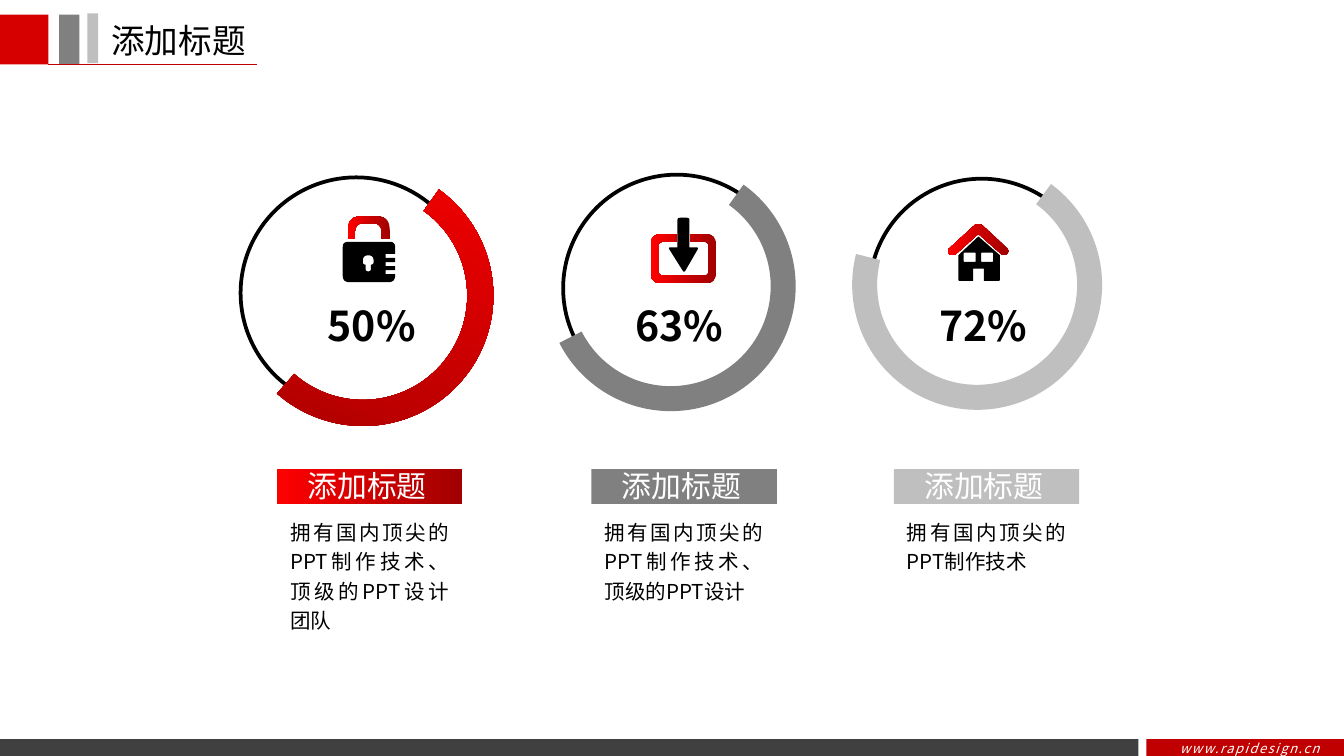
from lxml import etree
from pptx import Presentation
from pptx.dml.color import RGBColor
from pptx.enum import shapes, text
from pptx.oxml import ns
from pptx.util import Inches, Pt

FONT = "Noto Sans CJK SC"
BLACK = RGBColor(0, 0, 0)
WHITE = RGBColor(255, 255, 255)
RED = RGBColor(0xD6, 0, 0)
DEEP = RGBColor(0xC0, 0, 0)
DARK = RGBColor(0x40, 0x40, 0x40)
GRAY = RGBColor(0x80, 0x80, 0x80)
PALE = RGBColor(0xBF, 0xBF, 0xBF)
GLOW = [(0, "A20000"), (2, "A20000"), (33, "C00000"), (100, "FF0000")]
KIND = shapes.MSO_SHAPE
ALIGN = text.PP_ALIGN

# Icon outlines in hundredths of an inch: (x, y, corner radius)
LOCK = [
    (BLACK, [[(0, 19, 4), (39, 19, 4), (39, 28), (32, 28), (32, 31), (39, 31),
              (39, 34), (32, 34), (32, 37), (39, 37), (39, 40), (32, 40),
              (32, 43), (39, 43), (39, 49, 5), (0, 49, 5)],
             [(15, 29, 4), (23, 29, 4), (23, 36, 2), (21, 36), (21, 41, 2),
              (17, 41, 2), (17, 36), (15, 36, 2)]]),
    (GLOW, [[(4, 0, 10), (35, 0, 10), (35, 17), (29, 17), (29, 5, 7),
             (9, 5, 7), (9, 17), (4, 17)]]),
]
TRAY = [
    (GLOW, [[(30, 12), (49, 12, 9), (49, 49, 9), (0, 49, 9), (0, 12, 9),
             (19, 12), (19, 18), (6, 18, 3), (6, 43, 3), (43, 43, 3),
             (43, 18, 3), (30, 18)]]),
    (BLACK, [[(20, 0, 2), (29, 0, 2), (29, 22), (36, 22, 2), (25, 41, 2),
              (13, 22, 2), (20, 22)]]),
]
HOUSE = [
    (BLACK, [[(22, 9), (38, 23), (38, 42, 1), (26, 42), (26, 33), (18, 33),
              (18, 42), (7, 42, 1), (7, 23)],
             [(11, 21, 1), (20, 21, 1), (20, 28, 1), (11, 28, 1)],
             [(24, 21, 1), (33, 21, 1), (33, 28, 1), (24, 28, 1)]]),
    (GLOW, [[(22, -2, 4), (46, 20, 3), (41, 24, 3), (22, 7), (3, 24, 3),
             (-2, 20, 3)]]),
]

# Left edge, colour, percent, description, thin ring, arc, icon
COLS = [
    dict(x=2.06, fill=GLOW, rate="50%", rate_x=2.33,
         note="拥有国内顶尖的PPT制作技术、顶级的PPT设计团队", note_h=0.97,
         ring=(1.79, 1.32, 1.72), arc=(1.73, 1.23, 1.94),
         adj=(116.84, 12.22, 0.1), icon=LOCK, spot=(2.55, 1.61)),
    dict(x=4.4, fill=GRAY, rate="63%", rate_x=4.62,
         note="拥有国内顶尖的PPT制作技术、顶级的PPT设计", note_h=0.77,
         ring=(4.19, 1.3, 1.69), arc=(4.06, 1.2, 1.86),
         adj=(116.84, 25.27, 0.1), icon=TRAY, spot=(4.84, 1.62)),
    dict(x=6.65, fill=PALE, rate="72%", rate_x=6.88,
         note="拥有国内顶尖的PPT制作技术", note_h=0.55,
         ring=(6.47, 1.33, 1.67), arc=(6.34, 1.19, 1.86),
         adj=(117.18, 50.05, 0.1), icon=HOUSE, spot=(7.06, 1.67)),
]


def paint(shape, fill):
    """Fill with a colour, a list of gradient stops, or nothing."""
    shape.shadow.inherit = False
    shape.line.fill.background()
    if fill is None:
        shape.fill.background()
    elif isinstance(fill, list):
        shape.fill.gradient()
        shape.fill.gradient_angle = 180
        stops = next(shape.element.iter(ns.qn("a:gsLst")))
        for old in list(stops):
            stops.remove(old)
        for pos, hue in fill:
            stop = etree.SubElement(stops, ns.qn("a:gs"), pos=str(pos * 1000))
            etree.SubElement(stop, ns.qn("a:srgbClr"), val=hue)
    else:
        shape.fill.solid()
        shape.fill.fore_color.rgb = fill


def draw(slide, kind, box, fill):
    shape = slide.shapes.add_shape(kind, *map(Inches, box))
    paint(shape, fill)
    return shape


def write(slide, box, words, hue, align=ALIGN.LEFT, wrap=False, space=None, **look):
    frame = slide.shapes.add_textbox(*map(Inches, box)).text_frame
    frame.word_wrap = wrap
    para = frame.paragraphs[0]
    para.alignment = align
    para.line_spacing = space
    run = para.add_run()
    run.text = words
    run.font.color.rgb = hue
    for key, val in {"name": FONT, **look}.items():
        setattr(run.font, key, val)
    etree.SubElement(run.font._element, ns.qn("a:ea"), typeface=FONT)
    return run


def bend(path):
    """Turn corners with a radius into short curves of points."""
    out = []
    for i, (x, y, *rad) in enumerate(path):
        if not rad:
            out.append((x, y))
            continue
        ends = []
        for px, py, *_ in (path[i - 1], path[(i + 1) % len(path)]):
            part = rad[0] / ((px - x) ** 2 + (py - y) ** 2) ** 0.5
            ends.append((x + (px - x) * part, y + (py - y) * part))
        (ax, ay), (bx, by) = ends
        for step in range(7):
            t = step / 6
            a, m, b = (1 - t) ** 2, 2 * t * (1 - t), t * t
            out.append((a * ax + m * x + b * bx, a * ay + m * y + b * by))
    return [(round(x * 10), round(y * 10)) for x, y in out]


def add_icon(slide, spot, parts):
    left, top = map(Inches, spot)
    for fill, paths in parts:
        pen = None
        for path in paths:
            first, *rest = bend(path)
            if pen is None:
                pen = slide.shapes.build_freeform(*first, scale=Inches(1) / 1000)
            else:
                pen.move_to(*first)
            pen.add_line_segments(rest, close=True)
        paint(pen.convert_to_shape(left, top), fill)


def add_head(slide, x, y):
    # Title, colour blocks and rule
    write(slide, (x + 0.73, y, 1.21, 0.4), "添加标题", BLACK, size=Pt(18))
    for dx, dy, wide, hue in ((0, 0.01, 0.36, RED), (0.44, 0.01, 0.15, GRAY),
                              (0.65, 0, 0.08, PALE)):
        draw(slide, KIND.RECTANGLE, (x + dx, y + dy, wide, 0.37), hue)
    ends = (x + 0.36, y + 0.38, x + 1.91, y + 0.38)
    rule = slide.shapes.add_connector(shapes.MSO_CONNECTOR.STRAIGHT,
                                      *map(Inches, ends))
    rule.line.color.rgb = DEEP
    rule.line.width = Pt(0.75)
    etree.SubElement(rule.element.spPr, ns.qn("a:effectLst"))


def add_foot(slide, y):
    # Two bars and the web address
    for x, wide, hue in ((0, 8.47, DARK), (8.53, 1.47, DEEP)):
        draw(slide, KIND.RECTANGLE, (x, y, wide, 0.13), hue)
    site = write(slide, (8.68, y - 0.04, 1.28, 0.22), "www.rapidesign.cn",
                 WHITE, size=Pt(7), italic=True)
    site.font._element.set("spc", "80")


def add_col(slide, col):
    # Thin ring, thick arc, icon and percent
    x, y, size = col["ring"]
    ring = draw(slide, KIND.OVAL, (x, y, size, size), None)
    ring.line.color.rgb = BLACK
    ring.line.width = Pt(2)
    x, y, size = col["arc"]
    arc = draw(slide, KIND.BLOCK_ARC, (x, y, size, size), col["fill"])
    arc.rotation = 110.9
    for i, val in enumerate(col["adj"]):
        arc.adjustments[i] = val
    add_icon(slide, col["spot"], col["icon"])
    write(slide, (col["rate_x"], 2.19, 0.87, 0.47), col["rate"], BLACK,
          ALIGN.CENTER, size=Pt(22), bold=True)
    # Banner and description
    x = col["x"]
    draw(slide, KIND.RECTANGLE, (x, 3.49, 1.38, 0.26), col["fill"])
    write(slide, (x + 0.13, 3.43, 1.1, 0.37), "添加标题", WHITE, size=Pt(16))
    write(slide, (x, 3.78, 1.38, col["note_h"]), col["note"], BLACK,
          ALIGN.JUSTIFY, True, 1.2, size=Pt(11))


def main():
    deck = Presentation()
    deck.slide_width = Inches(10)
    deck.slide_height = deck.slide_width * 9 // 16
    slide = deck.slides.add_slide(deck.slide_layouts[6])
    add_head(slide, 0, 0.1)
    add_foot(slide, 5.5)
    for col in COLS:
        add_col(slide, col)
    deck.save("out.pptx")


if __name__ == "__main__":
    main()
